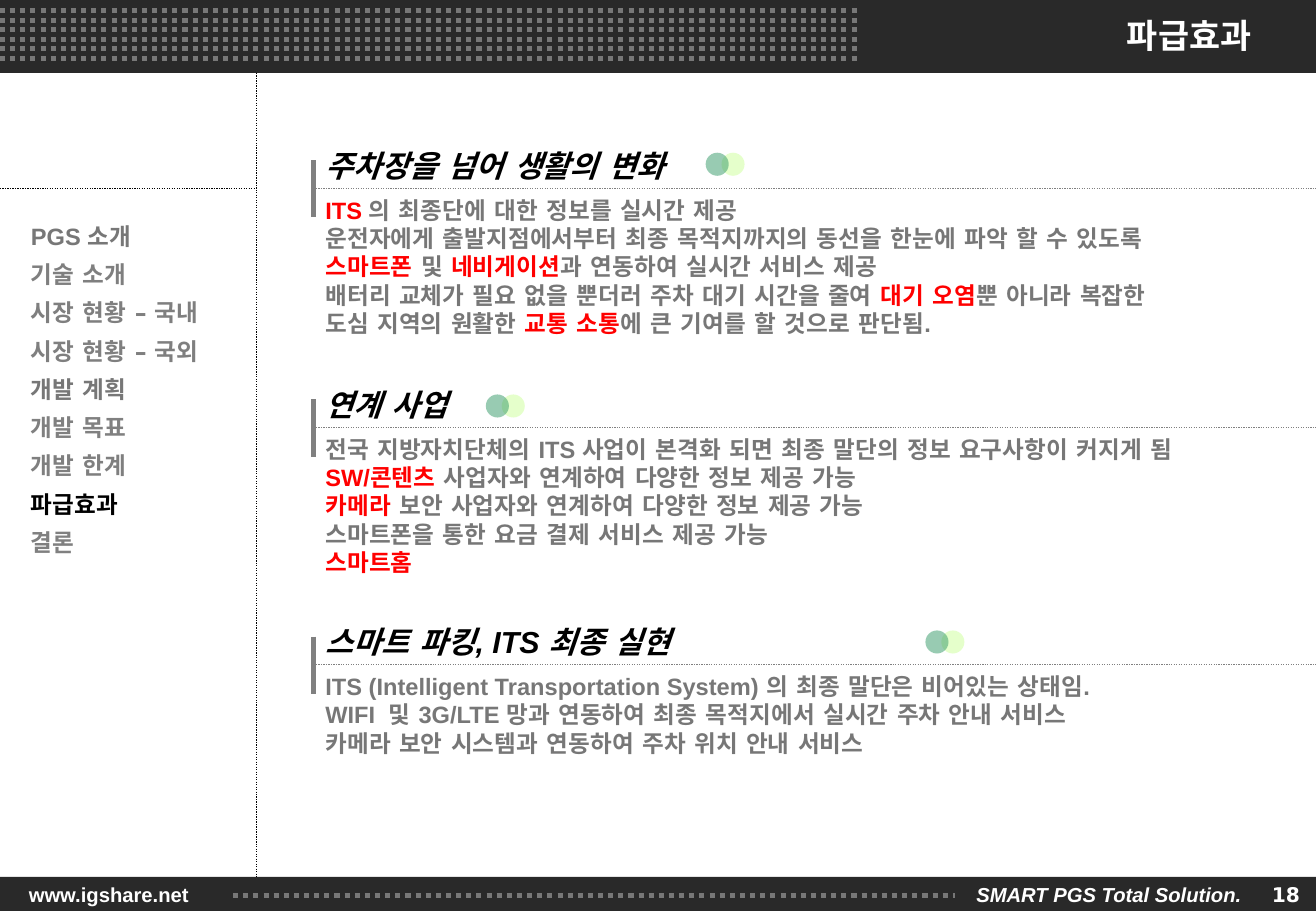
from lxml.etree import SubElement
from pptx import Presentation
from pptx.dml.color import RGBColor
from pptx.enum.dml import MSO_LINE
from pptx.enum.shapes import MSO_CONNECTOR, MSO_SHAPE
from pptx.enum.text import MSO_ANCHOR, PP_ALIGN
from pptx.oxml.ns import qn
from pptx.util import Pt

W, H = 780.13, 540
BAND_W, HEADER_H, FOOTER_Y, SIDE_W = 780, 43.2, 519.8, 152
COLORS = {
    "band": "292929", "white": "FFFFFF", "black": "000000", "red": "FF0000",
    "text": "777777", "item": "7F7F7F", "rule": "808080",
    "light_dot": "CCFF99", "dark_dot": "339966",
}
MENU = [
    ("PGS 소개", "text"), ("기술 소개", "item"), ("시장 현황 – 국내", "item"),
    ("시장 현황 – 국외", "item"), ("개발 계획", "text"), ("개발 목표", "rule"),
    ("개발 한계", "item"), ("파급효과", "black"), ("결론", "rule"),
]
# Rule height, corner of the dots, heading, lines; words between asterisks are red
SECTIONS = [
    (111.6, (418.3, 90.5), "주차장을 넘어 생활의 변화", [
        "*ITS *의 최종단에 대한 정보를 실시간 제공",
        "운전자에게 출발지점에서부터 최종 목적지까지의 동선을 한눈에 파악 할 수 있도록",
        "*스마트폰* 및 *네비게이션*과 연동하여 실시간 서비스 제공",
        "배터리 교체가 필요 없을 뿐더러 주차 대기 시간을 줄여 *대기 오염*뿐 아니라 복잡한",
        "도심 지역의 원활한 *교통 소통*에 큰 기여를 할 것으로 판단됨.",
    ]),
    (253.4, (288, 233.8), "연계 사업", [
        "전국 지방자치단체의 ITS 사업이 본격화 되면 최종 말단의 정보 요구사항이 커지게 됨",
        "*SW/콘텐츠 *사업자와 연계하여 다양한 정보 제공 가능",
        "*카메라* 보안 사업자와 연계하여 다양한 정보 제공 가능",
        "스마트폰을 통한 요금 결제 서비스 제공 가능",
        "*스마트홈*",
    ]),
    (394, (548.6, 373.7), "스마트 파킹, ITS 최종 실현", [
        "ITS (Intelligent Transportation System) 의 최종 말단은 비어있는 상태임.",
        "WIFI  및 3G/LTE 망과 연동하여 최종 목적지에서 실시간 주차 안내 서비스",
        "카메라 보안 시스템과 연동하여 주차 위치 안내 서비스",
    ]),
]


def rgb(name):
    return RGBColor.from_string(COLORS[name])


def add_line(s, x1, y1, x2, y2, color, width=0.75, dotted=True):
    ln = s.shapes.add_connector(MSO_CONNECTOR.STRAIGHT, Pt(x1), Pt(y1), Pt(x2), Pt(y2))
    ln.line.color.rgb = rgb(color)
    ln.line.width = Pt(width)
    if dotted:
        ln.line.dash_style = MSO_LINE.ROUND_DOT
    SubElement(ln._element.spPr, qn("a:effectLst"))


def add_solid(s, kind, box, color, alpha=None):
    sp = s.shapes.add_shape(kind, *map(Pt, box))
    sp.shadow.inherit = False
    sp.fill.solid()
    sp.fill.fore_color.rgb = rgb(color)
    sp.line.fill.background()
    if alpha:
        clr = sp._element.spPr.find(".//" + qn("a:srgbClr"))
        SubElement(clr, qn("a:alpha"), val=str(alpha * 1000))


def add_text(s, box, lines, color, size, align=PP_ALIGN.LEFT,
             anchor=MSO_ANCHOR.MIDDLE, spacing=None, **font):
    """Write one paragraph per line, with words between asterisks in red."""
    tf = s.shapes.add_textbox(*map(Pt, box)).text_frame
    frame = {"word_wrap": True, "vertical_anchor": anchor,
             "margin_left": Pt(7.2), "margin_right": Pt(7.2),
             "margin_top": Pt(3.6), "margin_bottom": Pt(3.6)}
    for name, value in frame.items():
        setattr(tf, name, value)
    style = {"name": "Arial", "size": Pt(size), "bold": True} | font
    for i, line in enumerate(lines):
        p = tf.add_paragraph() if i else tf.paragraphs[0]
        p.alignment = align
        if spacing:
            p.line_spacing = Pt(spacing)
        for j, part in enumerate(line.split("*")):
            if not part:
                continue
            r = p.add_run()
            r.text = part
            for name, value in style.items():
                setattr(r.font, name, value)
            r.font.color.rgb = rgb("red" if j % 2 else color)
            SubElement(r._r.get_or_add_rPr(), qn("a:ea"), typeface="DejaVu Sans")


def add_header(s, box, title):
    x, y, w, h = box
    add_solid(s, MSO_SHAPE.RECTANGLE, box, "band")
    for row in range(6):
        dots_y = y + 6.5 + row * 5.6
        add_line(s, x, dots_y, x + 509, dots_y, "text", 3)
    add_text(s, (x, y - 0.7, w - 31, h), [title], "white", 20, PP_ALIGN.RIGHT)


def add_footer(s, box):
    x, y, w, h = box
    mid = y + h / 2
    add_solid(s, MSO_SHAPE.RECTANGLE, box, "band")
    add_text(s, (x + 10, y, 125, h), ["www.igshare.net"], "white", 12)
    add_line(s, x + 138.2, mid + 0.7, x + 566, mid + 0.7, "text", 3)
    add_text(s, (x + 571.7, y, 175, h), ["SMART PGS Total Solution."],
             "white", 12, italic=True)
    add_text(s, (x + w - 42.3, y, 40, h), ["18"], "white", 12,
             PP_ALIGN.RIGHT, name="DejaVu Sans")


def add_sidebar(s, box):
    x, y, w, h = box
    add_line(s, x + w, y, x + w, y + h, "black")
    add_line(s, x, y + 68.4, x + w, y + 68.4, "black")
    for i, (label, color) in enumerate(MENU):
        add_text(s, (x + 11.3, y + 85, 130, 23), [label], color, 14)
        y += 22.7


def add_section(s, box, dots, heading, lines):
    """Place a section in a box whose top edge is the dotted rule."""
    x, y, w, h = box
    dots_x, dots_y = dots
    add_line(s, x, y - 16.6, x, y + 17.3, "rule", 3, dotted=False)
    add_line(s, x, y, x + w, y, "rule")
    add_text(s, (x, y - 27.4, 360, 27.4), [heading], "black", 18, italic=True)
    add_text(s, (x, y + 0.7, w, h), lines, "text", 14,
             anchor=MSO_ANCHOR.TOP, spacing=16.8)
    for color, shift in (("light_dot", 9.4), ("dark_dot", 0)):
        add_solid(s, MSO_SHAPE.OVAL, (dots_x + shift, dots_y, 13.7, 13.7), color, 50)


def main():
    prs = Presentation()
    prs.slide_width, prs.slide_height = Pt(W), Pt(H)
    s = prs.slides.add_slide(prs.slide_layouts[6])
    add_header(s, (0, 0, BAND_W, HEADER_H), "파급효과")
    add_footer(s, (0, FOOTER_Y, BAND_W, H - FOOTER_Y))
    add_sidebar(s, (0, HEADER_H, SIDE_W, FOOTER_Y - HEADER_H))
    for y, dots, heading, lines in SECTIONS:
        add_section(s, (185.8, y, BAND_W - 185.8, 92), dots, heading, lines)
    prs.save("out.pptx")


if __name__ == "__main__":
    main()
